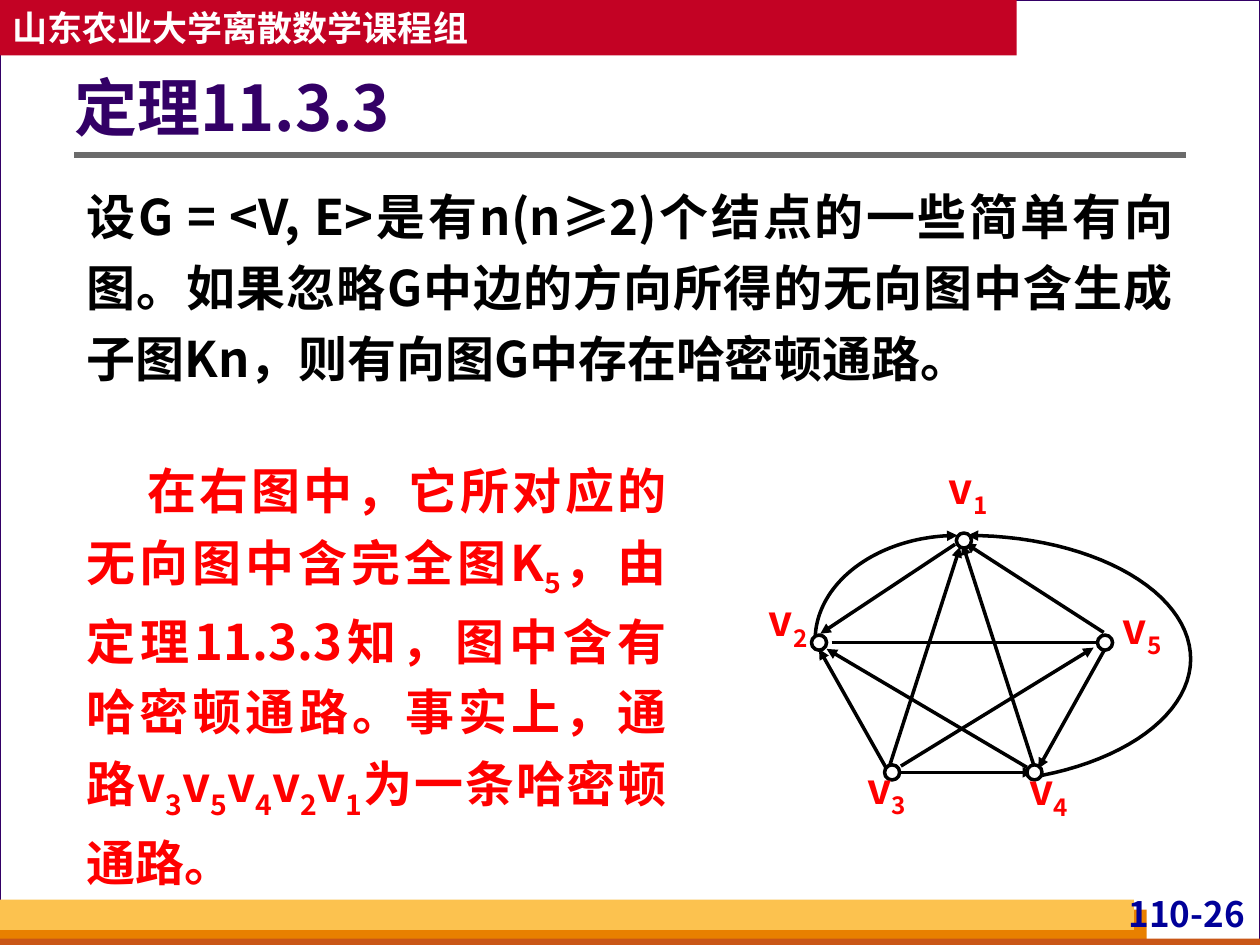
import math
from typing import NamedTuple

import lxml.etree
import pptx
import pptx.dml.color
import pptx.enum.shapes
import pptx.enum.text
import pptx.oxml.ns
import pptx.util
from pptx.util import Inches

FONT = "Noto Sans CJK SC"
COLORS = {
    "page": "FFFFFF", "frame": "330066", "backdrop": "D8DADA",
    "banner": "C30224", "rule": "6B6B6B", "orange": "E88000",
    "rust": "C95616", "amber": "FCC24F", "number": "000099",
    "ink": "000000", "accent": "FF0000",
}
ALIGN = pptx.enum.text.PP_ALIGN
ANCHOR = pptx.enum.text.MSO_ANCHOR
SHAPE = pptx.enum.shapes.MSO_SHAPE
NODE_SIZE = 0.12


class Bar(NamedTuple):
    left: float
    top: float
    width: float
    height: float
    fill: str
    line: str = ""


class Node(NamedTuple):
    index: str
    left: float
    top: float
    label_left: float
    label_top: float


class Edge(NamedTuple):
    x1: float
    y1: float
    x2: float
    y2: float
    arrow: bool = True


class Arc(NamedTuple):
    cx: float
    cy: float
    rx: float
    ry: float
    start: float
    end: float


def rgb(name: str) -> pptx.dml.color.RGBColor:
    return pptx.dml.color.RGBColor.from_string(COLORS[name])


def add_sub(parent, tag: str, **attrs: str):
    return lxml.etree.SubElement(parent, pptx.oxml.ns.qn(tag), attrs)


def style_line(sp, color: str, width: float) -> None:
    sp.line.color.rgb = rgb(color)
    sp.line.width = pptx.util.Pt(width)


def add_shape(s, kind, bar: Bar, width: float = 0.75):
    sp = s.shapes.add_shape(kind, *map(Inches, bar[:4]))
    sp.shadow.inherit = False
    sp.fill.solid()
    sp.fill.fore_color.rgb = rgb(bar.fill)
    if bar.line:
        style_line(sp, bar.line, width)
    else:
        sp.line.fill.background()
    return sp


def add_line(s, edge: Edge, color: str, width: float) -> None:
    sp = s.shapes.add_connector(
        pptx.enum.shapes.MSO_CONNECTOR.STRAIGHT, *map(Inches, edge[:4]))
    style_line(sp, color, width)
    if edge.arrow:
        add_sub(sp.line._get_or_add_ln(), "a:tailEnd", type="triangle")
    add_sub(sp._element.spPr, "a:effectLst")


def add_arc(s, arc: Arc, steps: int = 48) -> None:
    angles = [math.radians(arc.start + (arc.end - arc.start) * i / steps)
              for i in range(steps + 1)]
    points = [(Inches(arc.cx + arc.rx * math.cos(a)),
               Inches(arc.cy + arc.ry * math.sin(a))) for a in angles]
    builder = s.shapes.build_freeform(*points[0])
    builder.add_line_segments(points[1:], close=False)
    sp = builder.convert_to_shape()
    sp.shadow.inherit = False
    sp.fill.background()
    style_line(sp, "ink", 2)
    add_sub(sp.line._get_or_add_ln(), "a:tailEnd", type="triangle")


def set_text(sp, text: str, size: float, color: str, align=ALIGN.LEFT,
             anchor=ANCHOR.TOP, insets=(0.1, 0.05, 0.1, 0.05),
             spacing: float = 1.0, indent: float = 0):
    """Write one paragraph; each character after "_" is a subscript."""
    tf = sp.text_frame
    tf.word_wrap = True
    tf.vertical_anchor = anchor
    (tf.margin_left, tf.margin_top,
     tf.margin_right, tf.margin_bottom) = map(Inches, insets)
    p = tf.paragraphs[0]
    p.alignment = align
    p.line_spacing = spacing
    if indent:
        p._p.get_or_add_pPr().set("indent", str(Inches(indent)))
    first, *rest = text.split("_")
    p.add_run().text = first
    for part in rest:
        r = p.add_run()
        r.text = part[0]
        r._r.get_or_add_rPr().set("baseline", "-25000")
        if part[1:]:
            p.add_run().text = part[1:]
    p.font.size = pptx.util.Pt(size)
    p.font.bold = True
    p.font.color.rgb = rgb(color)
    p.font.name = FONT
    add_sub(p.font._element, "a:ea", typeface=FONT)


def add_text(s, box: tuple, *args, **kwargs) -> None:
    set_text(s.shapes.add_textbox(*map(Inches, box)), *args, **kwargs)


BARS = [
    Bar(0, 0, 10, 7.5, "page", "frame"),
    Bar(0, 7.22, 9.1, 0.28, "orange"),
    Bar(0, 7.45, 10, 0.08, "rust"),
    Bar(0, 7.14, 9, 0.24, "amber"),
]
NODES = [
    Node("1", 7.59, 4.23, 7.45, 3.67),
    Node("2", 6.44, 5.04, 6.02, 4.72),
    Node("3", 7.02, 6.07, 6.8, 6.05),
    Node("4", 8.15, 6.07, 8.09, 6.06),
    Node("5", 8.71, 5.04, 8.83, 4.78),
]
EDGES = [
    Edge(6.6, 5.1, 8.72, 5.1, arrow=False),
    Edge(7.05, 6.11, 7.62, 4.34),
    Edge(8.21, 6.09, 7.64, 4.32),
    Edge(7.15, 6.08, 8.68, 5.14),
    Edge(7.58, 4.32, 6.51, 5.03),
    Edge(8.77, 5.15, 8.24, 6.1),
    Edge(7.14, 6.13, 8.2, 6.13),
    Edge(8.15, 6.09, 6.56, 5.15),
    Edge(8.76, 5.02, 7.66, 4.31),
    Edge(7.03, 6.09, 6.5, 5.15),
]
ARCS = [
    Arc(7.68, 5.23, 1.77, 0.98, 70.5, -90),
    Arc(7.6, 5.08, 1.13, 0.83, 180, 270),
]


def main() -> None:
    prs = pptx.Presentation()
    prs.slide_width, prs.slide_height = Inches(10), Inches(7.5)
    s = prs.slides.add_slide(prs.slide_layouts[6])
    s.background.fill.solid()
    s.background.fill.fore_color.rgb = rgb("backdrop")

    # Page frame, footer bars, page number and header
    for bar in BARS:
        add_shape(s, SHAPE.RECTANGLE, bar)
    add_text(s, (8.7, 7.08, 1.22, 0.38), "110-26", 20, "number",
             align=ALIGN.RIGHT, insets=(0.04, 0, 0.04, 0))
    add_line(s, Edge(0.59, 1.23, 9.41, 1.23, arrow=False), "rule", 3)
    banner = add_shape(s, SHAPE.RECTANGLE, Bar(0, 0, 8.07, 0.44, "banner"))
    set_text(banner, "山东农业大学离散数学课程组", 20, "page",
             anchor=ANCHOR.MIDDLE)

    # Theorem
    add_text(s, (0.59, 0.38, 8.82, 1.01), "定理11.3.3", 36, "frame",
             anchor=ANCHOR.MIDDLE, insets=(0, 0.05, 0.1, 0.05), spacing=0.9)
    add_text(s, (0.59, 1.34, 8.82, 1.78),
             "设G = <V, E>是有n(n≥2)个结点的一些简单有向图。"
             "如果忽略G中边的方向所得的无向图中含生成子图Kn，"
             "则有向图G中存在哈密顿通路。",
             28, "ink", align=ALIGN.JUSTIFY, spacing=1.2)

    # Directed graph: edges, then nodes with their labels
    for edge in EDGES:
        add_line(s, edge, "ink", 2)
    for arc in ARCS:
        add_arc(s, arc)
    for node in NODES:
        add_shape(s, SHAPE.OVAL, Bar(node.left, node.top, NODE_SIZE,
                                     NODE_SIZE, "page", "ink"), width=2)
        add_text(s, (node.label_left, node.label_top, 0.47, 0.46),
                 f"v_{node.index}", 24, "accent", align=ALIGN.CENTER,
                 insets=(0, 0, 0, 0))

    # Explanation of the example
    add_text(s, (0.59, 3.51, 4.8, 3.62),
             "在右图中，它所对应的无向图中含完全图K_5，"
             "由定理11.3.3知，图中含有哈密顿通路。"
             "事实上，通路v_3v_5v_4v_2v_1为一条哈密顿通路。",
             28, "accent", align=ALIGN.JUSTIFY, spacing=1.2, indent=0.48)

    prs.save("out.pptx")


if __name__ == "__main__":
    main()
